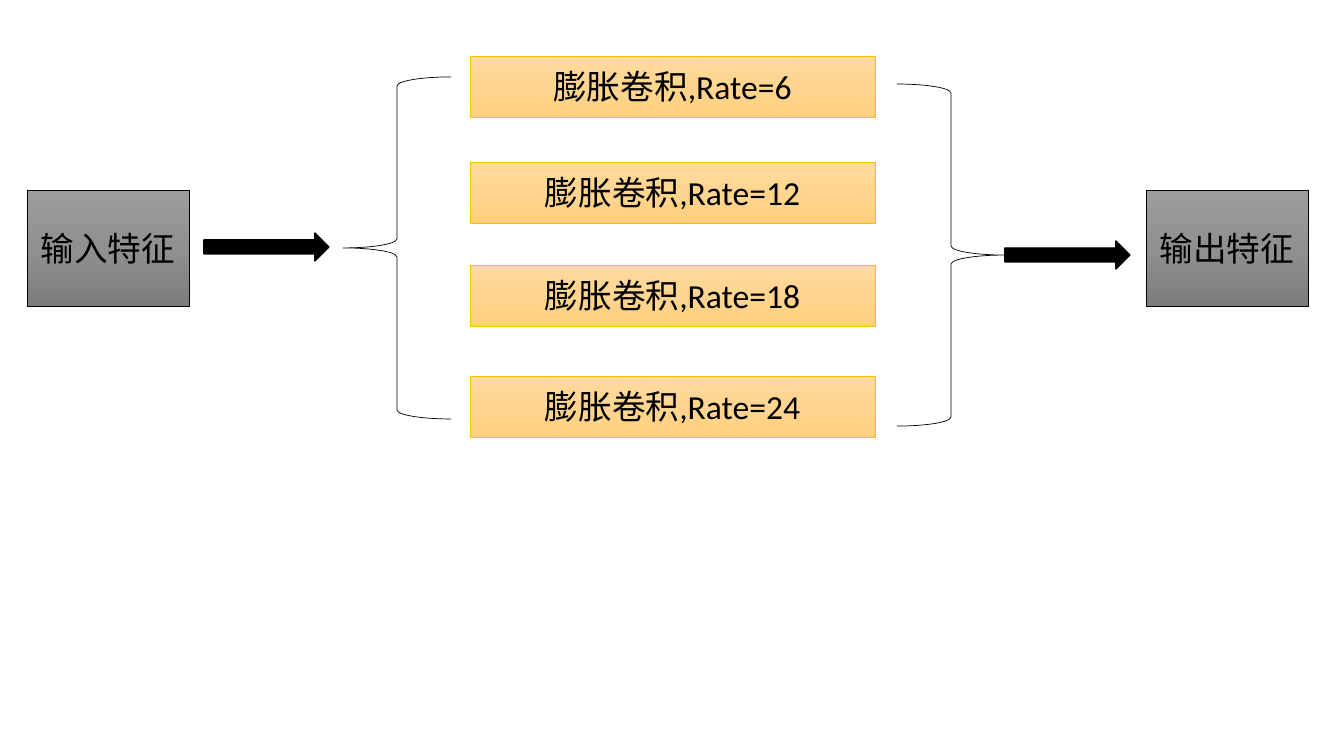
from copy import deepcopy
from pptx import Presentation
from pptx.dml.color import RGBColor
from pptx.enum.shapes import MSO_SHAPE
from pptx.enum.text import MSO_ANCHOR, PP_ALIGN
from pptx.oxml.ns import qn
from pptx.util import Pt

C = {
    "black": "000000",
    "gold": "FFC000",
    "gray_fill": ["9D9D9D", "909090", "7C7C7C"],
    "gold_fill": ["FFDB9E", "FFD590", "FFD07C"],
}


def add(kind, x, y, w, h, line, weight):
    sp = s.shapes.add_shape(kind, *[round(n * 914400 / 100.8) for n in (x, y, w, h)])
    sp.shadow.inherit = False
    sp.line.color.rgb = RGBColor.from_string(C[line])
    sp.line.width = Pt(weight)
    return sp


def add_box(x, y, w, h, text, fill, line):
    sp = add(MSO_SHAPE.RECTANGLE, x, y, w, h, line, 0.5)
    sp.fill.gradient()
    sp.fill.gradient_angle = 270
    stops = sp._element.spPr.find(".//" + qn("a:gsLst"))
    stops.insert(1, deepcopy(stops[0]))
    for stop, color, position in zip(sp.fill.gradient_stops, C[fill], (0, 0.5, 1)):
        stop.color.rgb = RGBColor.from_string(color)
        stop.position = position
    tf = sp.text_frame
    tf.word_wrap = True
    tf.vertical_anchor = MSO_ANCHOR.MIDDLE
    p = tf.paragraphs[0]
    p.alignment = PP_ALIGN.CENTER
    r = p.add_run()
    r.text = text
    r.font.name = "Calibri"
    r.font.size = Pt(24)
    r.font.color.rgb = RGBColor.from_string(C["black"])


prs = Presentation()
prs.slide_width, prs.slide_height = 12192000, 6858000
s = prs.slides.add_slide(prs.slide_layouts[6])

for x, text in [(27, "输入特征"), (1146, "输出特征")]:
    add_box(x, 190, 162, 116, text, "gray_fill", "black")

for y, rate in [(56, 6), (162, 12), (265, 18), (376, 24)]:
    add_box(470, y, 405, 61, f"膨胀卷积,Rate={rate}", "gold_fill", "gold")

for x, y, angle in [(343, 77, 0), (897, 84, 180)]:
    brace = add(MSO_SHAPE.LEFT_BRACE, x, y, 108, 342, "black", 0.5)
    brace.fill.background()
    brace.rotation = angle

for x, y in [(204, 233), (1005, 241)]:
    arrow = add(MSO_SHAPE.RIGHT_ARROW, x, y, 125, 28, "black", 1)
    arrow.fill.solid()
    arrow.fill.fore_color.rgb = RGBColor.from_string(C["black"])

prs.save("out.pptx")
